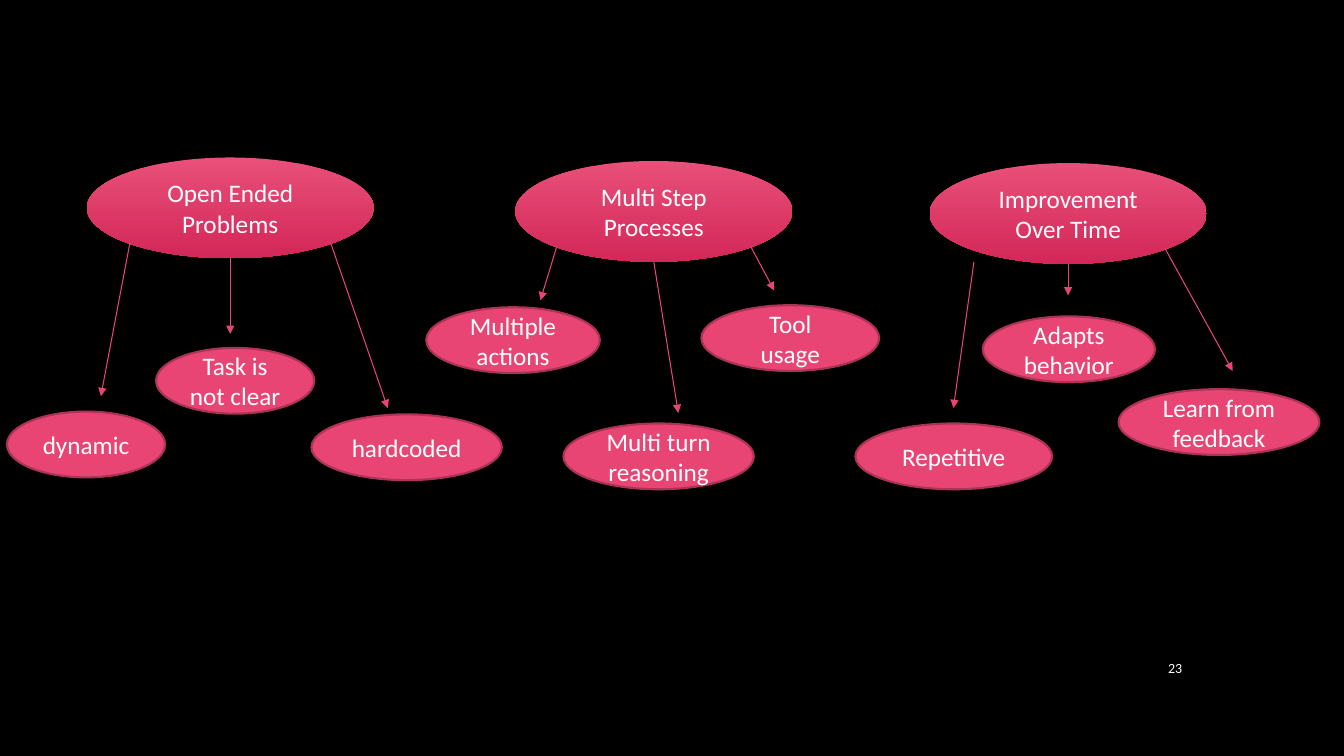
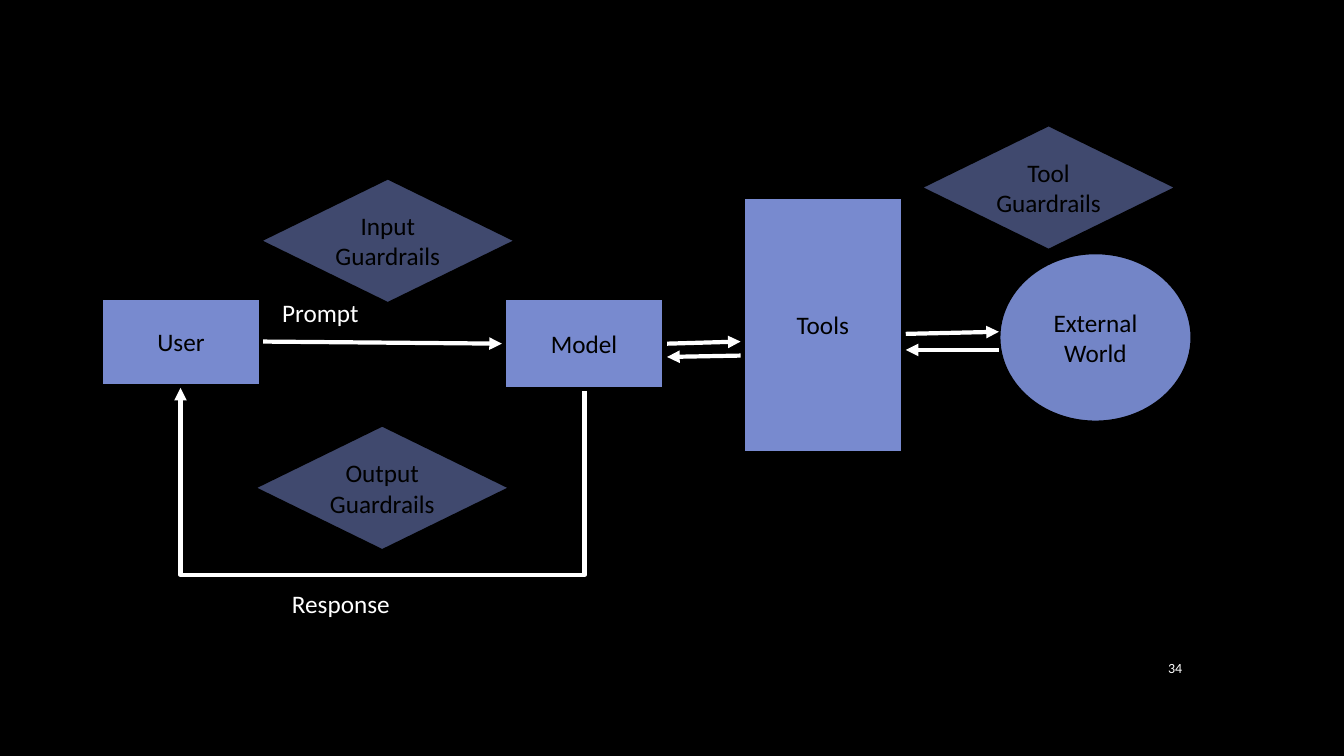
"""Builds two dark diagram slides: an idea tree and a guardrail flow."""
from lxml import etree
from pptx import Presentation, util as u
from pptx.dml import color
from pptx.enum import shapes, text
from pptx.oxml import ns

Pt = u.Pt
SHAPE = shapes.MSO_SHAPE
LINE = shapes.MSO_CONNECTOR
ALIGN = text.PP_ALIGN
ANCHOR = text.MSO_ANCHOR
FONT = "Calibri"
BLACK, WHITE = "000000", "FFFFFF"
PINK, PINK_EDGE = "E84574", "AC3356"
PINK_FADE = ("E84F79", "D32859")
BLUE, BLUE_ROUND, NAVY = "788ACF", "7385C7", "40496E"
NUMBER_BOX = (808.5, 462, 43, 29.5)

LEFT, MID, RIGHT = (0.15, 0.85), (0.5, 1), (0.85, 0.85)
TOPIC_H, LEAF_H = 72, 47
# topic, (left, top, width), leaves: label, (left, top, width), start on topic, arrow tip
TOPICS = [
    ("Open Ended Problems", (62, 112.5, 205), [
        ("dynamic", (5, 294, 113), LEFT, (72, 283)),
        ("Task is not clear", (111.5, 248.5, 113), MID, (164.5, 238.5)),
        ("hardcoded", (222.5, 296, 136), RIGHT, (277, 291.5))]),
    ("Multi Step Processes", (368, 115, 198), [
        ("Multiple actions", (304.5, 219.5, 124), LEFT, (386, 214.5)),
        ("Multi turn reasoning", (402.5, 302.5, 136), MID, (484.5, 295)),
        ("Tool usage", (501, 218, 127), RIGHT, (553, 207.5))]),
    ("Improvement Over Time", (664, 116.5, 198), [
        ("Repetitive", (611, 302.5, 140.5), (0.16, 0.98), (681, 291.5)),
        ("Adapts behavior", (702, 226, 123), MID, (763, 211)),
        ("Learn from feedback", (799, 278, 143.5), RIGHT, (880.5, 265))]),
]

DIAMOND_SIZE = (182, 89)
NODES = [
    ("Tools", SHAPE.RECTANGLE, (529, 139, 117.5, 186), BLUE, 6),
    ("External World", SHAPE.FLOWCHART_CONNECTOR, (713.5, 180.5, 138, 121), BLUE_ROUND, 2.25),
    ("Model", SHAPE.RECTANGLE, (358.5, 211, 117.5, 68.5), BLUE, 6),
    ("User", SHAPE.RECTANGLE, (70.5, 211, 117.5, 66), BLUE, 6),
    ("Input Guardrails", SHAPE.DIAMOND, (186, 127.5) + DIAMOND_SIZE, NAVY, 1.5),
    ("Tool Guardrails", SHAPE.DIAMOND, (658, 89.5) + DIAMOND_SIZE, NAVY, 1.5),
    ("Output Guardrails", SHAPE.DIAMOND, (182, 304) + DIAMOND_SIZE, NAVY, 1.5),
]
FLOWS = [
    ((188, 244), (358.5, 245.5)),
    ((476.5, 245.5), (529, 244)),
    ((529, 254), (476.5, 255)),
    ((647, 238.5), (713.5, 237)),
    ((713.5, 250), (647, 250)),
]
RESPONSE_FROM, RESPONSE_TO, RESPONSE_LOW = (417.5, 279.5), (129, 277), 411
LABELS = [("Prompt", (194.5, 209, 75, 29)), ("Response", (201.5, 417, 89.5, 29))]


def rgb(value):
    return color.RGBColor.from_string(value)


def write(sp, label, ink, size=18, align=ALIGN.CENTER, anchor=ANCHOR.MIDDLE):
    tf = sp.text_frame
    tf.word_wrap = True
    tf.vertical_anchor = anchor
    p = tf.paragraphs[0]
    p.text = label
    p.alignment = align
    font = p.runs[0].font
    font.name, font.size, font.color.rgb = FONT, Pt(size), rgb(ink)


def add_node(s, kind, box, label, fill, ink, edge=None, width=0):
    sp = s.shapes.add_shape(kind, *map(Pt, box))
    sp.shadow.inherit = False
    if isinstance(fill, tuple):
        sp.fill.gradient()
        sp.fill.gradient_angle = 270
        for stop, shade in zip(sp.fill.gradient_stops, fill):
            stop.color.rgb = rgb(shade)
    else:
        sp.fill.solid()
        sp.fill.fore_color.rgb = rgb(fill)
    if edge:
        sp.line.color.rgb = rgb(edge)
        sp.line.width = Pt(width)
    else:
        sp.line.fill.background()
    write(sp, label, ink)


def add_label(s, label, box, **style):
    write(s.shapes.add_textbox(*map(Pt, box)), label, WHITE, **style)


def add_arrow(s, start, end, ink, width, kind=LINE.STRAIGHT):
    sp = s.shapes.add_connector(kind, *map(Pt, start + end))
    sp.line.color.rgb = rgb(ink)
    sp.line.width = Pt(width)
    etree.SubElement(sp.line._get_or_add_ln(), ns.qn("a:tailEnd"), type="triangle")
    etree.SubElement(sp._element.spPr, ns.qn("a:effectLst"))
    return sp


def add_return_arrow(s, start, end, low, ink, width):
    (x1, y1), (x2, y2) = start, end
    cx, cy = (x1 + x2) / 2, (y1 + y2) / 2
    half_w, half_h = (y1 - y2) / 2, (x1 - x2) / 2
    sp = add_arrow(s, (cx + half_w, cy - half_h), (cx - half_w, cy + half_h),
                   ink, width, LINE.ELBOW)
    spPr = sp._element.spPr
    spPr.xfrm.rot = 90
    bend = round((y1 - low) / (y1 - y2) * 100000)
    guides = spPr.find(ns.qn("a:prstGeom")).find(ns.qn("a:avLst"))
    etree.SubElement(guides, ns.qn("a:gd"), name="adj1", fmla=f"val {bend}")


def add_slide(prs, number):
    s = prs.slides.add_slide(prs.slide_layouts[6])
    add_label(s, number, NUMBER_BOX, size=10, align=ALIGN.RIGHT)
    return s


def build_tree(prs):
    s = add_slide(prs, "23")
    for topic, (x, y, w), leaves in TOPICS:
        add_node(s, SHAPE.OVAL, (x, y, w, TOPIC_H), topic, PINK_FADE, WHITE)
        for leaf, place, (fx, fy), tip in leaves:
            add_arrow(s, (x + fx * w, y + fy * TOPIC_H), tip, PINK, 0.75)
            add_node(s, SHAPE.OVAL, place + (LEAF_H,), leaf, PINK, WHITE, PINK_EDGE, 1.5)


def build_flow(prs):
    s = add_slide(prs, "34")
    for label, kind, box, fill, width in NODES:
        add_node(s, kind, box, label, fill, BLACK, BLACK, width)
    for start, end in FLOWS:
        add_arrow(s, start, end, WHITE, 3)
    add_return_arrow(s, RESPONSE_FROM, RESPONSE_TO, RESPONSE_LOW, WHITE, 3)
    for label, box in LABELS:
        add_label(s, label, box, align=ALIGN.LEFT, anchor=ANCHOR.TOP)


def main():
    prs = Presentation()
    prs.slide_width, prs.slide_height = Pt(960), Pt(540)
    backdrop = prs.slide_master.background.fill
    backdrop.solid()
    backdrop.fore_color.rgb = rgb(BLACK)
    build_tree(prs)
    build_flow(prs)
    prs.save("out.pptx")


if __name__ == "__main__":
    main()
